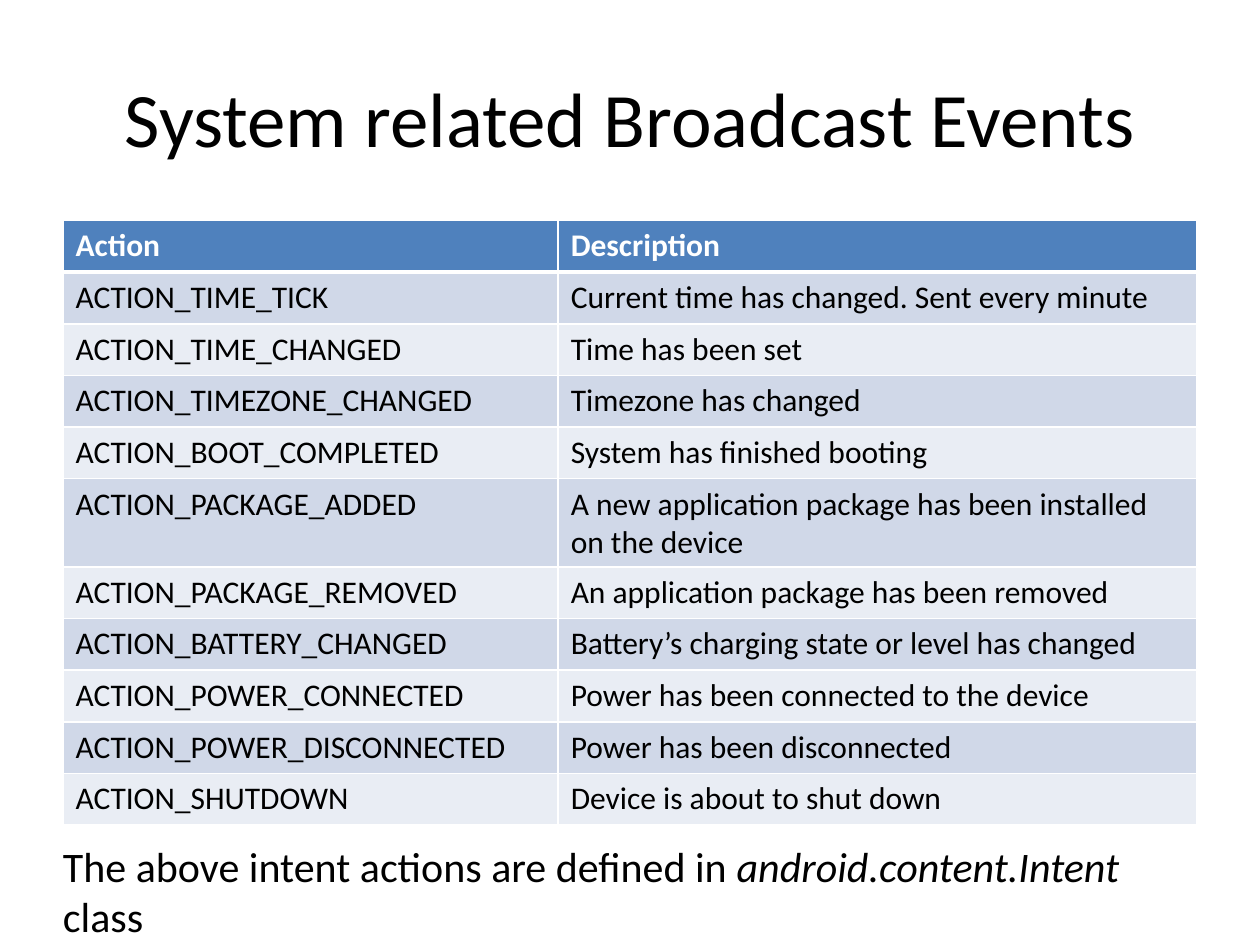
"""Build a slide with a table of system broadcast events."""
from lxml import etree
from pptx import Presentation
from pptx.dml.color import RGBColor
from pptx.enum.text import MSO_ANCHOR, PP_ALIGN
from pptx.oxml.ns import qn
from pptx.util import Inches, Pt

MIDDLE = MSO_ANCHOR.MIDDLE
CENTER = PP_ALIGN.CENTER

THEME = {
    "font": "Calibri",
    "text": "000000",
    "header_text": "FFFFFF",
    "header": "4F81BD",
    "bands": ("D0D8E8", "E9EDF4"),
    "border": "FFFFFF",
    "title_size": 44,
    "table_size": 18,
    "note_size": 24,
}

ROWS = [
    ("Action", "Description"),
    ("ACTION_TIME_TICK", "Current time has changed. Sent every minute"),
    ("ACTION_TIME_CHANGED", "Time has been set"),
    ("ACTION_TIMEZONE_CHANGED", "Timezone has changed"),
    ("ACTION_BOOT_COMPLETED", "System has finished booting"),
    ("ACTION_PACKAGE_ADDED",
     "A new application package has been installed on the device"),
    ("ACTION_PACKAGE_REMOVED", "An application package has been removed"),
    ("ACTION_BATTERY_CHANGED", "Battery’s charging state or level has changed"),
    ("ACTION_POWER_CONNECTED", "Power has been connected to the device"),
    ("ACTION_POWER_DISCONNECTED", "Power has been disconnected"),
    ("ACTION_SHUTDOWN", "Device is about to shut down"),
]
NOTE = [
    ("The above intent actions are defined in ", False),
    ("android.content.Intent", True),
    (" class", False),
]


def style(r, size, color="text", bold=False, italic=False):
    r.font.name = THEME["font"]
    r.font.size = Pt(size)
    r.font.color.rgb = RGBColor.from_string(THEME[color])
    r.font.bold = bold
    r.font.italic = italic


def set_borders(cell, bottom):
    tcPr = cell._tc.get_or_add_tcPr()
    widths = {"a:lnL": 1, "a:lnR": 1, "a:lnT": 1, "a:lnB": bottom}
    for i, (tag, width) in enumerate(widths.items()):
        ln = etree.Element(qn(tag), w=str(Pt(width)))
        fill = etree.SubElement(ln, qn("a:solidFill"))
        etree.SubElement(fill, qn("a:srgbClr"), val=THEME["border"])
        tcPr.insert(i, ln)


prs = Presentation()
prs.slide_width, prs.slide_height = Inches(10), Inches(7.5)
s = prs.slides.add_slide(prs.slide_layouts[6])

margin = int(prs.slide_width * 0.05)
width = prs.slide_width - 2 * margin
columns = (Inches(3.93), Inches(5.07))
row_height = Inches(0.41)

sp = s.shapes.add_textbox(margin, int(prs.slide_height * 0.04), width, Inches(1.25))
tf = sp.text_frame
tf.word_wrap = True
tf.vertical_anchor = MIDDLE
p = tf.paragraphs[0]
p.text = "System related Broadcast Events"
p.alignment = CENTER
style(p.runs[0], THEME["title_size"])

sp = s.shapes.add_table(len(ROWS), len(columns), margin, Inches(1.75),
                        width, row_height * len(ROWS))
table = sp.table
for column, column_width in zip(table.columns, columns):
    column.width = column_width
for i, texts in enumerate(ROWS):
    header = i == 0
    table.rows[i].height = row_height
    color = THEME["header"] if header else THEME["bands"][(i - 1) % 2]
    for cell, text in zip(table.rows[i].cells, texts):
        cell.text_frame.text = text
        style(cell.text_frame.paragraphs[0].runs[0], THEME["table_size"],
              "header_text" if header else "text", bold=header)
        cell.fill.solid()
        cell.fill.fore_color.rgb = RGBColor.from_string(color)
        set_borders(cell, 3 if header else 1)
        if i == 1:
            top = cell._tc.tcPr.find(qn("a:lnT"))
            top.set("w", str(Pt(3)))

sp = s.shapes.add_textbox(margin, Inches(6.67), width, Inches(0.81))
tf = sp.text_frame
tf.word_wrap = True
tf.margin_left = tf.margin_right = tf.margin_top = tf.margin_bottom = 0
p = tf.paragraphs[0]
for text, italic in NOTE:
    r = p.add_run()
    r.text = text
    style(r, THEME["note_size"], italic=italic)

prs.save("out.pptx")
